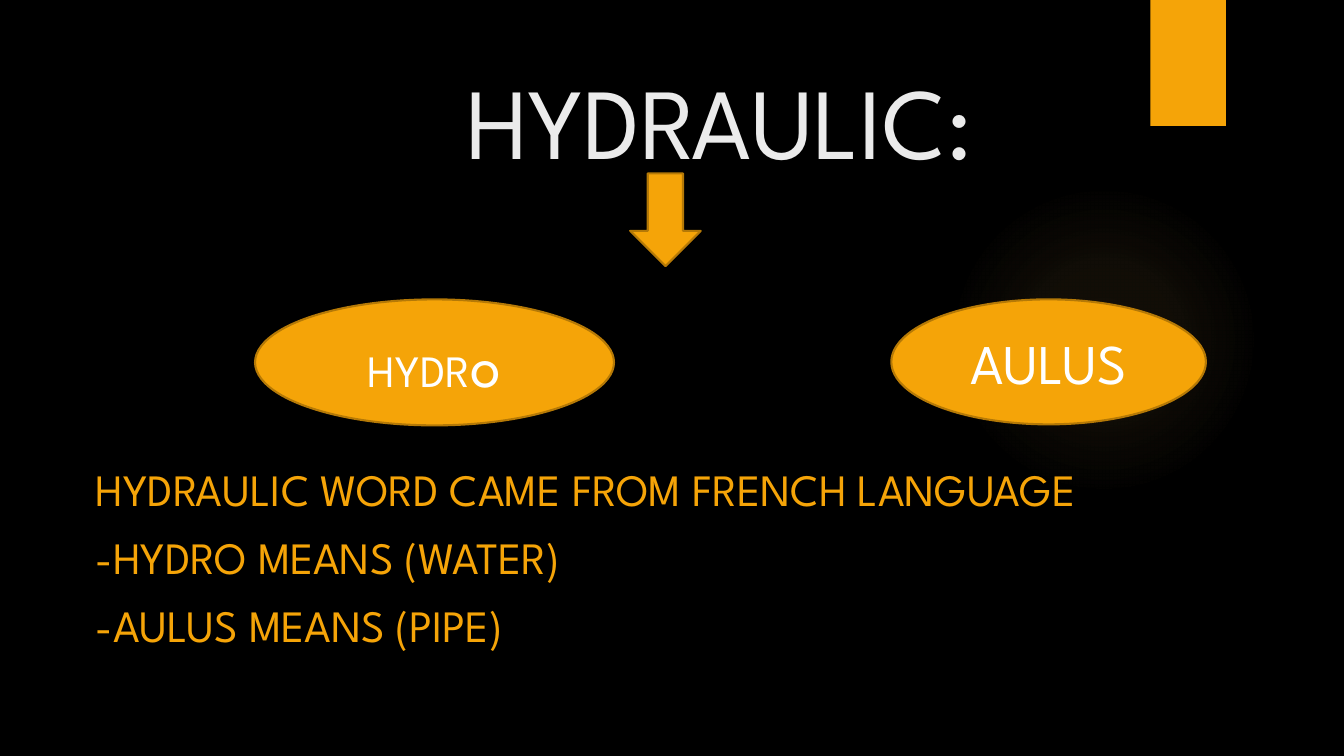
from pptx import Presentation
from pptx.dml.color import RGBColor
from pptx.enum.shapes import MSO_SHAPE as Preset
from pptx.enum.text import MSO_ANCHOR as Anchor, MSO_AUTO_SIZE as AutoSize, PP_ALIGN as Align
from pptx.oxml import parse_xml
from pptx.oxml.ns import nsdecls
from pptx.util import Inches, Pt

COLOURS = {
    "background": "000000",
    "accent": "F5A408",
    "outline": "B57906",
    "glow": "FAC96A",
    "title": "EBEBEB",
    "white": "FFFFFF",
}
FONT = "League Spartan"
GLOW_STOPS = [(0, 7), (36, 6), (69, 0)]  # position and opacity in percent


def colour(name):
    return RGBColor.from_string(COLOURS[name])


def place(part, box):
    for side, length in zip(("left", "top", "width", "height"), box):
        setattr(part, side, Inches(length))


def format_frame(frame, **values):
    for name, value in values.items():
        setattr(frame, name, value)


def add_run(paragraph, words, size, tint):
    run = paragraph.add_run()
    run.text = words
    for name, value in {"name": FONT, "size": Pt(size), "bold": False}.items():
        setattr(run.font, name, value)
    run.font.color.rgb = colour(tint)


def add_figure(slide, preset, box, outline=None):
    figure = slide.shapes.add_shape(preset, *map(Inches, box))
    figure.shadow.inherit = False
    figure.fill.solid()
    figure.fill.fore_color.rgb = colour("accent")
    if outline:
        figure.line.color.rgb = colour(outline)
        figure.line.width = Pt(1.5)
    else:
        figure.line.fill.background()
    return figure


def add_backdrop(slide, glow_box, tab_box):
    slide.background.fill.solid()
    slide.background.fill.fore_color.rgb = colour("background")

    # Soft radial glow
    glow = add_figure(slide, Preset.OVAL, glow_box)
    stops = "".join(
        f'<a:gs pos="{position * 1000}"><a:srgbClr val="{COLOURS["glow"]}">'
        f'<a:alpha val="{opacity * 1000}"/></a:srgbClr></a:gs>'
        for position, opacity in GLOW_STOPS
    )
    gradient = parse_xml(
        f'<a:gradFill {nsdecls("a")} rotWithShape="1"><a:gsLst>{stops}</a:gsLst>'
        '<a:path path="circle">'
        '<a:fillToRect l="50000" t="50000" r="50000" b="50000"/>'
        "</a:path></a:gradFill>"
    )
    properties = glow.element.spPr
    properties.replace(properties.find("{*}solidFill"), gradient)

    # Tab at the top edge
    add_figure(slide, Preset.RECTANGLE, tab_box)


def add_heading(slide, box, words):
    heading = slide.shapes.title
    place(heading, box)
    # The deep bottom margin lifts the heading above the arrow
    format_frame(heading.text_frame, word_wrap=True, auto_size=AutoSize.NONE,
                 vertical_anchor=Anchor.BOTTOM, margin_bottom=Inches(2.43))
    paragraph = heading.text_frame.paragraphs[0]
    paragraph.alignment = Align.CENTER
    add_run(paragraph, words, 72, "title")


def add_meanings(slide, box, lines):
    meanings = slide.placeholders[1]
    place(meanings, box)
    frame = meanings.text_frame
    format_frame(frame, word_wrap=True, auto_size=AutoSize.NONE,
                 vertical_anchor=Anchor.TOP)
    for index, line in enumerate(lines):
        paragraph = frame.add_paragraph() if index else frame.paragraphs[0]
        paragraph.alignment = Align.LEFT
        paragraph.space_before = Pt(10)
        add_run(paragraph, line, 32, "accent")


def add_root_word(slide, box, pieces):
    root_word = add_figure(slide, Preset.OVAL, box, "outline")
    format_frame(root_word.text_frame, word_wrap=True, vertical_anchor=Anchor.MIDDLE)
    paragraph = root_word.text_frame.paragraphs[0]
    paragraph.alignment = Align.CENTER
    for words, size in pieces:
        add_run(paragraph, words, size, "white")


def build_word_origin(deck):
    slide = deck.slides.add_slide(deck.slide_layouts[0])
    add_backdrop(slide, (9.41, 1.83, 3.08, 3.08), (11.41, 0, 0.75, 1.25))
    add_heading(slide, (2.31, 0.03, 9.65, 4.18), "HYDRAULIC:")
    add_meanings(slide, (0.85, 4.53, 11.82, 2.43), [
        "HYDRAULIC WORD CAME FROM FRENCH LANGUAGE",
        "-HYDRO MEANS (WATER)",
        "-AULUS MEANS (PIPE)",
    ])
    # The heading splits into its two roots
    add_figure(slide, Preset.DOWN_ARROW, (6.25, 1.72, 0.7, 0.92), "outline")
    add_root_word(slide, (8.84, 2.97, 3.12, 1.24), [("AULUS", 40)])
    add_root_word(slide, (2.53, 2.97, 3.56, 1.25), [("HYDR", 32), ("o", 44)])


def main():
    deck = Presentation()
    deck.slide_width, deck.slide_height = Inches(13.33), Inches(7.5)
    build_word_origin(deck)
    deck.save("out.pptx")


if __name__ == "__main__":
    main()
